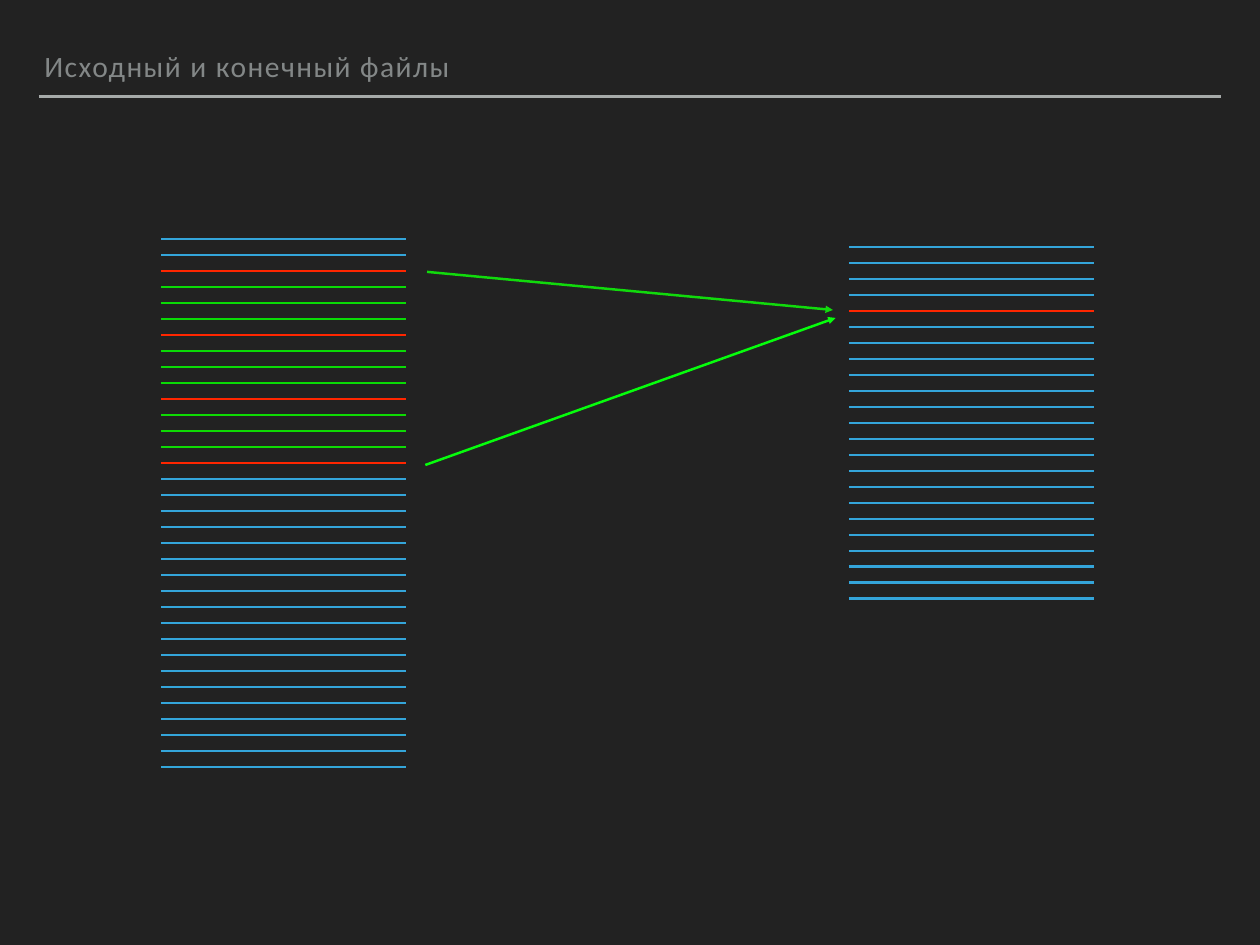
from dataclasses import dataclass

from lxml.etree import SubElement
from pptx import Presentation
from pptx.dml.color import RGBColor
from pptx.enum.shapes import MSO_CONNECTOR
from pptx.enum.text import MSO_ANCHOR, MSO_AUTO_SIZE, PP_ALIGN
from pptx.oxml.ns import qn
from pptx.util import Inches, Pt


@dataclass(frozen=True)
class Theme:
    font: str = "Calibri"
    title_size: int = 24
    title_tracking: int = 120  # hundredths of a point
    line_width: int = 2
    background: str = "222222"
    title: str = "838787"
    rule: str = "A6AAA9"
    blue: str = "34A5DA"
    red: str = "FF2600"
    green: str = "0ADA06"
    lower_green: str = "0EDA03"
    upper_arrow: str = "11DA0C"
    lower_arrow: str = "06FD0C"


class SlideBuilder:
    def __init__(self, deck, theme):
        self.theme = theme
        self.page = deck.slides.add_slide(deck.slide_layouts[5])
        fill = self.page.background.fill
        fill.solid()
        fill.fore_color.rgb = RGBColor.from_string(theme.background)

    def title(self, text, left, top, width, height):
        box = self.page.shapes.title
        box.left, box.top = Inches(left), Inches(top)
        box.width, box.height = Inches(width), Inches(height)
        frame = box.text_frame
        frame.word_wrap = True
        frame.auto_size = MSO_AUTO_SIZE.SHAPE_TO_FIT_TEXT
        frame.vertical_anchor = MSO_ANCHOR.BOTTOM
        frame.margin_left = frame.margin_right = Inches(0.06)
        frame.margin_top = frame.margin_bottom = Inches(0.06)
        para = frame.paragraphs[0]
        para.alignment = PP_ALIGN.LEFT
        para.line_spacing = 0.8
        para.font.name = self.theme.font
        para.font.size = Pt(self.theme.title_size)
        para.font.color.rgb = RGBColor.from_string(self.theme.title)
        span = para.add_run()
        span.text = text
        span._r.get_or_add_rPr().set("spc", str(self.theme.title_tracking))

    def line(self, start, end, color):
        connector = self.page.shapes.add_connector(
            MSO_CONNECTOR.STRAIGHT,
            *(Inches(value) for value in (*start, *end)),
        )
        connector.line.width = Pt(self.theme.line_width)
        connector.line.color.rgb = RGBColor.from_string(color)
        SubElement(connector._element.spPr, qn("a:effectLst"))
        return connector

    def arrow(self, start, end, color):
        connector = self.line(start, end, color)
        outline = connector.line._get_or_add_ln()
        SubElement(outline, qn("a:tailEnd"), type="triangle")

    def file_lines(self, left, right, top, bottom, colors):
        """Draw a file as evenly spaced lines, one per colour."""
        step = (bottom - top) / (len(colors) - 1)
        for row, color in enumerate(colors):
            y = top + row * step
            self.line((left, y), (right, y), color)


def main():
    deck = Presentation()
    deck.slide_width, deck.slide_height = Inches(14.22), Inches(10.67)
    theme = Theme()
    slide = SlideBuilder(deck, theme)

    slide.line((0.44, 1.09), (13.78, 1.09), theme.rule)
    slide.title("Исходный и конечный файлы", 0.44, 0.5, 12.22, 0.5)

    green_block = [theme.red] + [theme.green] * 3
    lower_block = [theme.red] + [theme.lower_green] * 3
    source_colors = (
        [theme.blue] * 2 + green_block * 2 + lower_block
        + [theme.red] + [theme.blue] * 19
    )
    result_colors = [theme.blue] * 4 + [theme.red] + [theme.blue] * 18
    slide.file_lines(1.82, 4.58, 2.7, 8.66, source_colors)
    slide.file_lines(9.58, 12.35, 2.79, 6.76, result_colors)

    slide.arrow((4.82, 3.07), (9.4, 3.5), theme.upper_arrow)
    slide.arrow((4.8, 5.25), (9.43, 3.59), theme.lower_arrow)

    deck.save("out.pptx")


if __name__ == "__main__":
    main()
